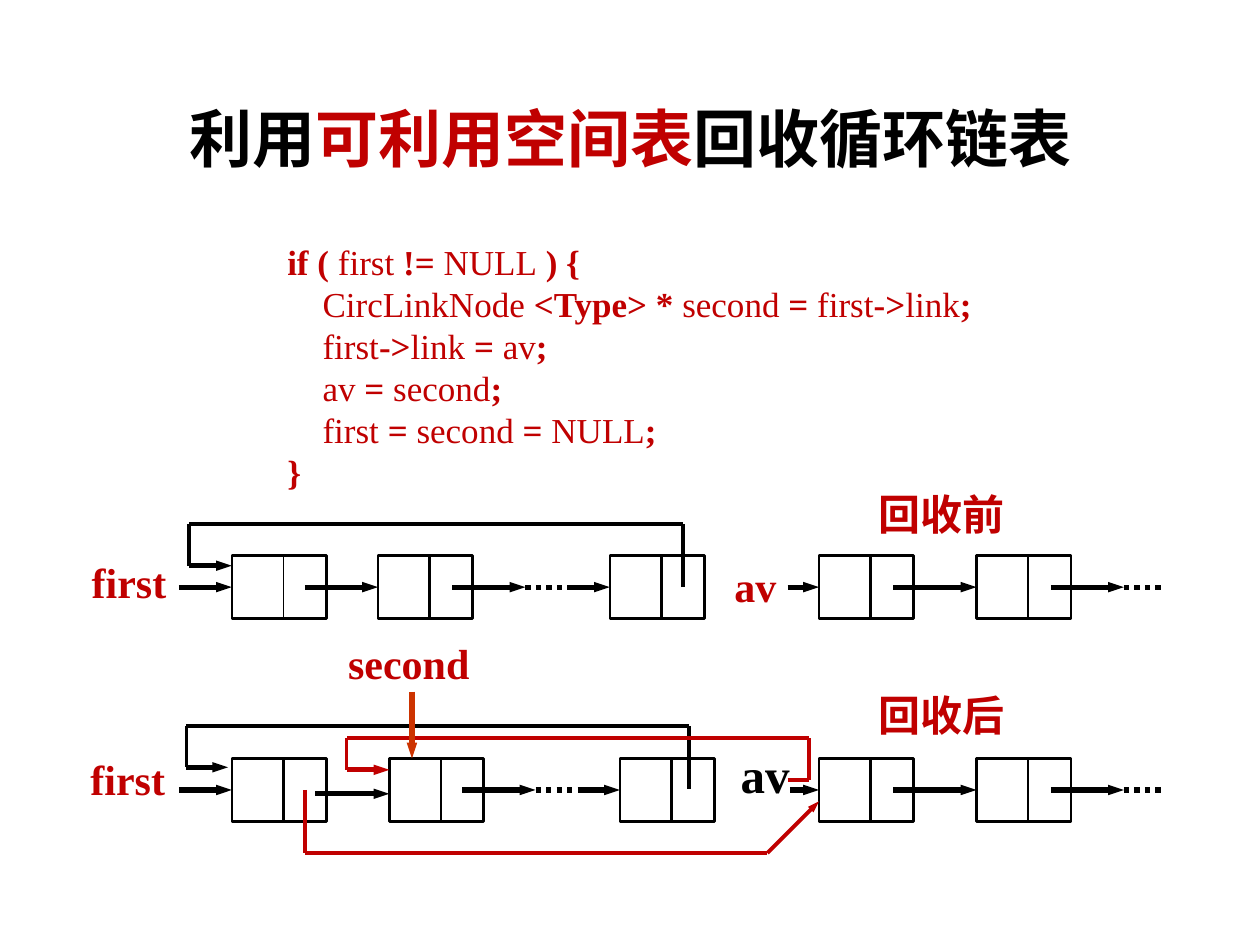
from dataclasses import dataclass

import pptx
import pptx.dml.color
import pptx.enum.dml
import pptx.enum.shapes
import pptx.enum.text
import pptx.oxml.ns
import pptx.util
from lxml import etree

BLACK = pptx.dml.color.RGBColor(0, 0, 0)
WHITE = pptx.dml.color.RGBColor(255, 255, 255)
RED = pptx.dml.color.RGBColor(0xC0, 0, 0)
ORANGE = pptx.dml.color.RGBColor(0xCC, 0x33, 0)
LATIN = "Times New Roman"
HAN = "Noto Sans CJK SC"
ALIGN = pptx.enum.text.PP_ALIGN
ANCHOR = pptx.enum.text.MSO_ANCHOR
FIT = pptx.enum.text.MSO_AUTO_SIZE
WIDE, HIGH, SPLIT = 0.75, 0.5, 0.41
inch = pptx.util.Inches
tag = pptx.oxml.ns.qn

CODE = [
    "if ( |first |!= |NULL| ) {",
    "\t|CircLinkNode |<Type> * |second |= |first|->|link|;",
    "\t|first|->|link |= |av|;",
    "\t|av |= |second|;",
    "\t|first| = |second |=| NULL|;",
    "}",
]


@dataclass
class Row:
    top: float
    nodes: list
    bars: list
    arrows: list
    dots: list
    ring: list


@dataclass
class Label:
    words: str
    box: tuple
    size: int = 24
    color: pptx.dml.color.RGBColor = RED
    font: str = LATIN
    center: bool = False


ROWS = [
    Row(4.41, [1.84, 3, 4.84, 6.5, 7.75], [0.75, 1.5, 1.5, 1.5, 1.5],
        [(1.42, 0), (2.42, 1), (4.5, 2), (6.25, 3), (7.09, 4)],
        [(3.59, 4.17, 4.5), (8.34, 8.92, 9.25)],
        [(5.42, 4.66), (5.42, 4.16), (1.5, 4.16), (1.5, 4.49), (1.84, 4.49)]),
    Row(6.02, [1.84, 3.09, 4.92, 6.5, 7.75], [1.5] * 5,
        [(1.42, 0), (4.59, 2), (6.27, 3), (7.09, 4)],
        [(3.67, 4.25, 4.59), (8.34, 8.92, 9.25)],
        [(5.47, 6.26), (5.47, 5.76), (1.48, 5.76), (1.48, 6.09), (1.81, 6.09)]),
]

LABELS = [
    Label("first", (0.63, 4.37, 0.8, 0.5)),
    Label("av", (5.73, 4.4, 0.54, 0.5)),
    Label("first", (0.62, 5.93, 0.8, 0.5)),
    Label("av", (5.78, 5.86, 0.59, 0.57), size=28, color=BLACK),
    Label("second", (2.66, 5.01, 1.17, 0.5), center=True),
    Label("回收前", (6.87, 3.83, 1.21, 0.5), font=HAN),
    Label("回收后", (6.87, 5.42, 1.21, 0.5), font=HAN),
]


def write(slide, lines: list, box: tuple, *, size: int = 24, font: str = LATIN,
          color=RED, other=None, bold: bool = True, light: bool = False,
          align=ALIGN.LEFT, anchor=ANCHOR.TOP, wrap: bool = False,
          fit=FIT.SHAPE_TO_FIT_TEXT, inset: tuple = (0.1, 0.05), space=None):
    frame = slide.shapes.add_textbox(*map(inch, box)).text_frame
    frame.word_wrap, frame.auto_size = wrap, fit
    frame.vertical_anchor = anchor
    frame.margin_left = frame.margin_right = inch(inset[0])
    frame.margin_top = frame.margin_bottom = inch(inset[1])
    for row, line in enumerate(lines):
        para = frame.add_paragraph() if row else frame.paragraphs[0]
        para.alignment, para.line_spacing = align, space
        if line.startswith("\t"):
            para._p.get_or_add_pPr().set("marL", str(inch(0.28)))
        for part, words in enumerate(line.split("|")):
            if words == "\t":
                continue
            run = para.add_run()
            run.text = words
            odd = part % 2
            run.font.size, run.font.name = pptx.util.Pt(size), font
            run.font.bold = bold and not (light and odd)
            run.font.color.rgb = other if other is not None and odd else color
            east = etree.SubElement(run._r.get_or_add_rPr(), tag("a:ea"))
            east.set("typeface", font)


def link(slide, start: tuple, end: tuple, *, color=BLACK, weight: float = 3,
         head: bool = False, dots: bool = False, goal=None):
    straight = pptx.enum.shapes.MSO_CONNECTOR.STRAIGHT
    wire = slide.shapes.add_connector(straight, *map(inch, start + end))
    wire.line.color.rgb, wire.line.width = color, pptx.util.Pt(weight)
    if dots:
        wire.line.dash_style = pptx.enum.dml.MSO_LINE.ROUND_DOT
    if head:
        tip = etree.SubElement(wire.line._get_or_add_ln(), tag("a:tailEnd"))
        for key, value in (("type", "triangle"), ("w", "sm"), ("len", "med")):
            tip.set(key, value)
    etree.SubElement(wire._element.spPr, tag("a:effectLst"))
    if goal is not None:
        wire.end_connect(goal, 1)


def trace(slide, points: list, *, color=BLACK, tip: float = 3):
    last = len(points) - 2
    for step, (start, end) in enumerate(zip(points, points[1:])):
        link(slide, start, end, color=color, head=step == last,
             weight=tip if step == last else 2.25)


def node(slide, left: float, top: float, bar: float):
    kind = pptx.enum.shapes.MSO_SHAPE.RECTANGLE
    cell = slide.shapes.add_shape(kind, *map(inch, (left, top, WIDE, HIGH)))
    cell.shadow.inherit = False
    cell.fill.solid()
    cell.fill.fore_color.rgb = WHITE
    cell.line.color.rgb, cell.line.width = BLACK, pptx.util.Pt(1.5)
    mid = left + SPLIT
    link(slide, (mid, top), (mid, top + HIGH), weight=bar)
    return cell


def chain(slide, row: Row):
    cells = [node(slide, left, row.top, bar)
             for left, bar in zip(row.nodes, row.bars)]
    mid = row.top + HIGH / 2
    for start, goal in row.arrows:
        link(slide, (start, mid), (row.nodes[goal], mid), head=True,
             goal=cells[goal])
    for start, turn, end in row.dots:
        link(slide, (start, mid), (turn, mid), head=True)
        link(slide, (turn, mid), (end, mid), dots=True)
    trace(slide, row.ring)


def main():
    deck = pptx.Presentation()
    deck.slide_width, deck.slide_height = inch(10), inch(7.5)
    slide = deck.slides.add_slide(deck.slide_layouts[6])
    write(slide, ["利用|可利用空间表|回收循环链表"], (0.69, 0.4, 8.62, 1.45),
          size=36, font=HAN, color=BLACK, other=RED, align=ALIGN.CENTER,
          anchor=ANCHOR.MIDDLE, wrap=True, fit=FIT.NONE, space=0.9)
    write(slide, CODE, (2.16, 1.85, 5.69, 2.14), size=20, light=True,
          wrap=True, inset=(0.12, 0.06))
    for row in ROWS:
        chain(slide, row)
    for label in LABELS:
        write(slide, [label.words], label.box, size=label.size,
              color=label.color, font=label.font,
              align=ALIGN.CENTER if label.center else ALIGN.LEFT,
              anchor=ANCHOR.MIDDLE if label.center else ANCHOR.TOP)
    trace(slide, [(2.42, 6.27), (2.42, 6.77), (6.09, 6.77), (6.5, 6.36)],
          color=RED, tip=2.25)
    trace(slide, [(6.25, 6.19), (6.42, 6.19), (6.42, 5.86), (2.75, 5.86),
                  (2.75, 6.11), (3.09, 6.11)], color=RED)
    link(slide, (3.27, 5.49), (3.27, 6.02), color=ORANGE, head=True)
    link(slide, (2.5, 6.3), (3.09, 6.3), head=True)
    deck.save("out.pptx")


if __name__ == "__main__":
    main()
